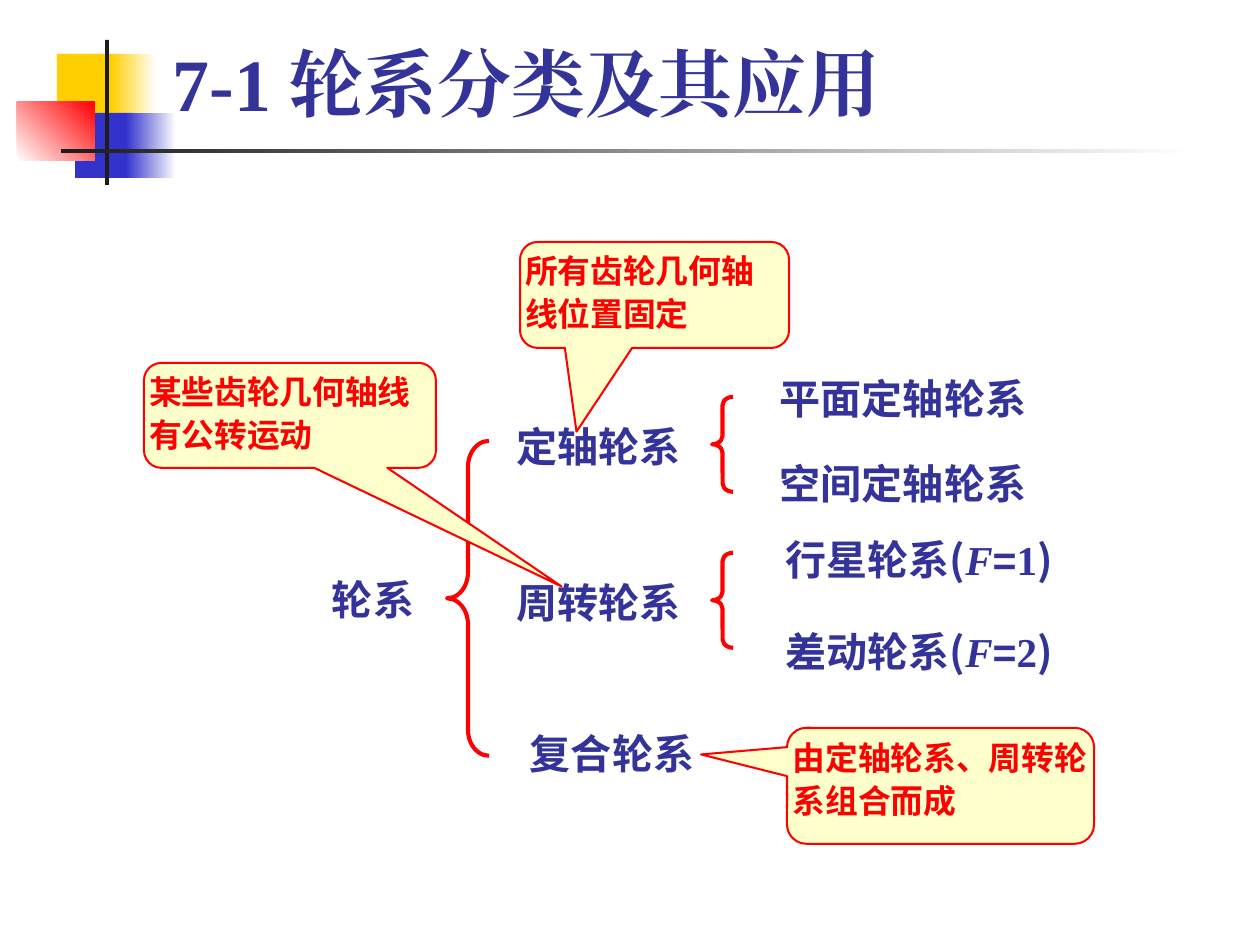
from dataclasses import dataclass

from lxml import etree
from pptx import Presentation
from pptx import util as u
from pptx.dml.color import RGBColor
from pptx.enum import shapes, text
from pptx.oxml.ns import qn

SCALE = 6191  # EMU per px
SHAPE = shapes.MSO_SHAPE


@dataclass(frozen=True)
class Theme:
    ink: str = "333399"
    accent: str = "FF0000"
    note: str = "FFFFCC"
    white: str = "FFFFFF"
    yellow: str = "FFCF01"
    blue: str = "3333CC"
    dark: str = "1C1C1C"
    cjk: str = "Noto Sans CJK SC"
    serif: str = "Times New Roman"
    sans: str = "Arial"
    narrow: str = "Arial Narrow"
    title_pt: int = 36
    label_pt: int = 20
    note_pt: int = 16


class SlideBuilder:
    def __init__(self, slide, theme):
        self.s, self.t = slide, theme

    def box(self, *px):
        return [u.Emu(v * SCALE) for v in px]

    def style(self, r, face, size, color, italic=False):
        f = r.font
        f.name, f.size, f.bold, f.italic = face, u.Pt(size), True, italic
        f.color.rgb = RGBColor.from_string(color)
        etree.SubElement(r._r.get_or_add_rPr(), qn("a:ea")).set("typeface", face)

    def shape(self, kind, px, line=None, width=1):
        sp = self.s.shapes.add_shape(kind, *self.box(*px))
        sp.shadow.inherit = False
        if line:
            sp.line.color.rgb = RGBColor.from_string(line)
            sp.line.width = u.Pt(width)
        else:
            sp.line.fill.background()
        return sp

    def block(self, px, start, end=None, angle=0):
        """Draw a borderless rectangle, solid or fading from start to end."""
        fill = self.shape(SHAPE.RECTANGLE, px).fill
        if end is None:
            fill.solid()
            fill.fore_color.rgb = RGBColor.from_string(start)
            return
        fill.gradient()
        fill.gradient_angle = angle
        for stop, color, pos in zip(fill.gradient_stops, (start, end), (0, 1)):
            stop.color.rgb = RGBColor.from_string(color)
            stop.position = pos

    def title(self, words, px):
        sp = self.s.shapes.title
        sp.left, sp.top, sp.width, sp.height = self.box(*px)
        tf = sp.text_frame
        tf.text = words
        tf.auto_size = text.MSO_AUTO_SIZE.NONE
        tf.vertical_anchor = text.MSO_ANCHOR.BOTTOM
        p = tf.paragraphs[0]
        p.alignment = text.PP_ALIGN.LEFT
        self.style(p.runs[0], self.t.serif, self.t.title_pt, self.t.ink)

    def label(self, px, words, dof=None):
        """Write a centred term, followed by its degree of freedom if given."""
        tf = self.s.shapes.add_textbox(*self.box(*px)).text_frame
        tf.word_wrap = True
        p = tf.paragraphs[0]
        p.alignment = text.PP_ALIGN.CENTER
        t = self.t
        parts = [(words, t.cjk)]
        if dof is not None:
            parts = [(words + "(", t.cjk), ("F", t.serif), ("=", t.sans),
                     (str(dof), t.serif), (")", t.cjk)]
        for part, face in parts:
            r = p.add_run()
            r.text = part
            self.style(r, face, t.label_pt, t.ink, italic=part == "F")

    def brace(self, px, curve):
        sp = self.shape(SHAPE.LEFT_BRACE, px, self.t.accent, 2)
        sp.fill.background()
        sp.adjustments[0] = curve

    def callout(self, px, tip, words):
        sp = self.shape(SHAPE.ROUNDED_RECTANGULAR_CALLOUT, px, self.t.accent)
        sp.fill.solid()
        sp.fill.fore_color.rgb = RGBColor.from_string(self.t.note)
        sp.adjustments[0], sp.adjustments[1] = tip
        tf = sp.text_frame
        tf.text = words
        tf.word_wrap = True
        tf.vertical_anchor = text.MSO_ANCHOR.TOP
        tf.margin_left = tf.margin_top = tf.margin_right = tf.margin_bottom = 0
        p = tf.paragraphs[0]
        p.alignment = text.PP_ALIGN.LEFT
        p.line_spacing = 1.1
        self.style(p.runs[0], self.t.narrow, self.t.note_pt, self.t.accent)


def main():
    prs = Presentation()
    prs.slide_width, prs.slide_height = u.Inches(8.53), u.Inches(6.4)
    t = Theme()
    b = SlideBuilder(prs.slides.add_slide(prs.slide_layouts[5]), t)

    b.block((57, 54, 61, 65), t.yellow)
    b.block((111, 54, 45, 65), t.yellow, t.white)
    b.block((75, 113, 58, 65), t.blue)
    b.block((126, 113, 50, 65), t.blue, t.white)
    b.block((17, 102, 78, 59), t.white, t.accent, 45)
    b.block((105, 40, 4, 145), t.dark)
    b.block((61, 149, 1134, 4), t.dark, t.white)
    b.title("7-1 轮系分类及其应用", (158, 32, 1074, 102))

    label_h = 62
    b.label((300, 567, 146, label_h), "轮系")
    for top, width, words in ((414, 199, "定轴轮系"), (570, 199, "周转轮系"),
                              (721, 226, "复合轮系")):
        b.label((499, top, width, label_h), words)
    for top, width, words, dof in ((366, 294, "平面定轴轮系", None),
                                   (451, 294, "空间定轴轮系", None),
                                   (527, 326, "行星轮系", 1),
                                   (619, 326, "差动轮系", 2)):
        b.label((756, top, width, label_h), words, dof)

    b.brace((447, 441, 42, 315), 0.62)
    for top in (397, 553):
        b.brace((712, top, 21, 95), 0.4)

    b.callout((520, 242, 269, 106), (-0.29, 1.29), "所有齿轮几何轴线位置固定")
    b.callout((144, 363, 292, 105), (0.93, 1.63), "某些齿轮几何轴线有公转运动")
    b.callout((787, 728, 307, 116), (-0.78, -0.27), "由定轴轮系、周转轮系组合而成")
    prs.save("out.pptx")


if __name__ == "__main__":
    main()
